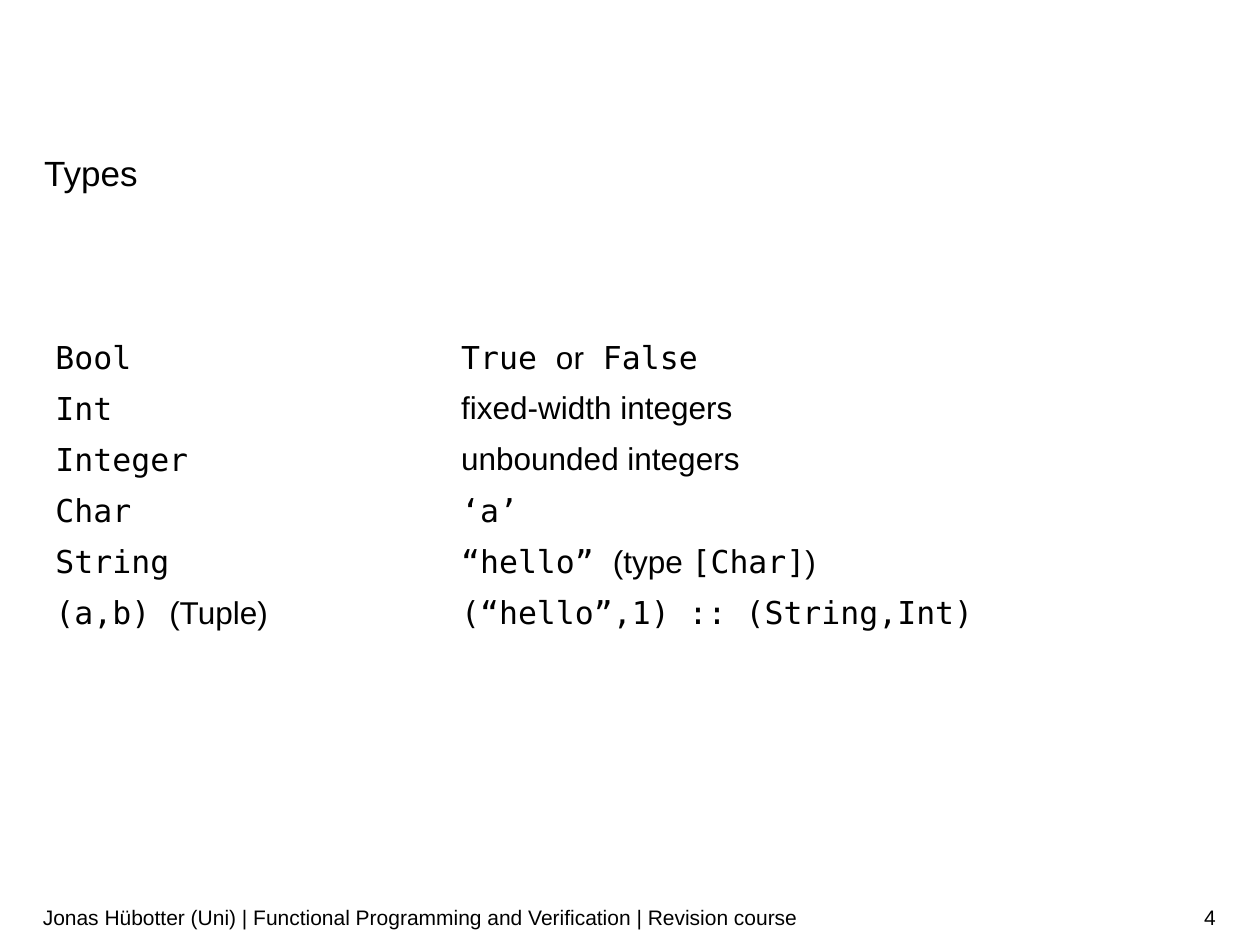
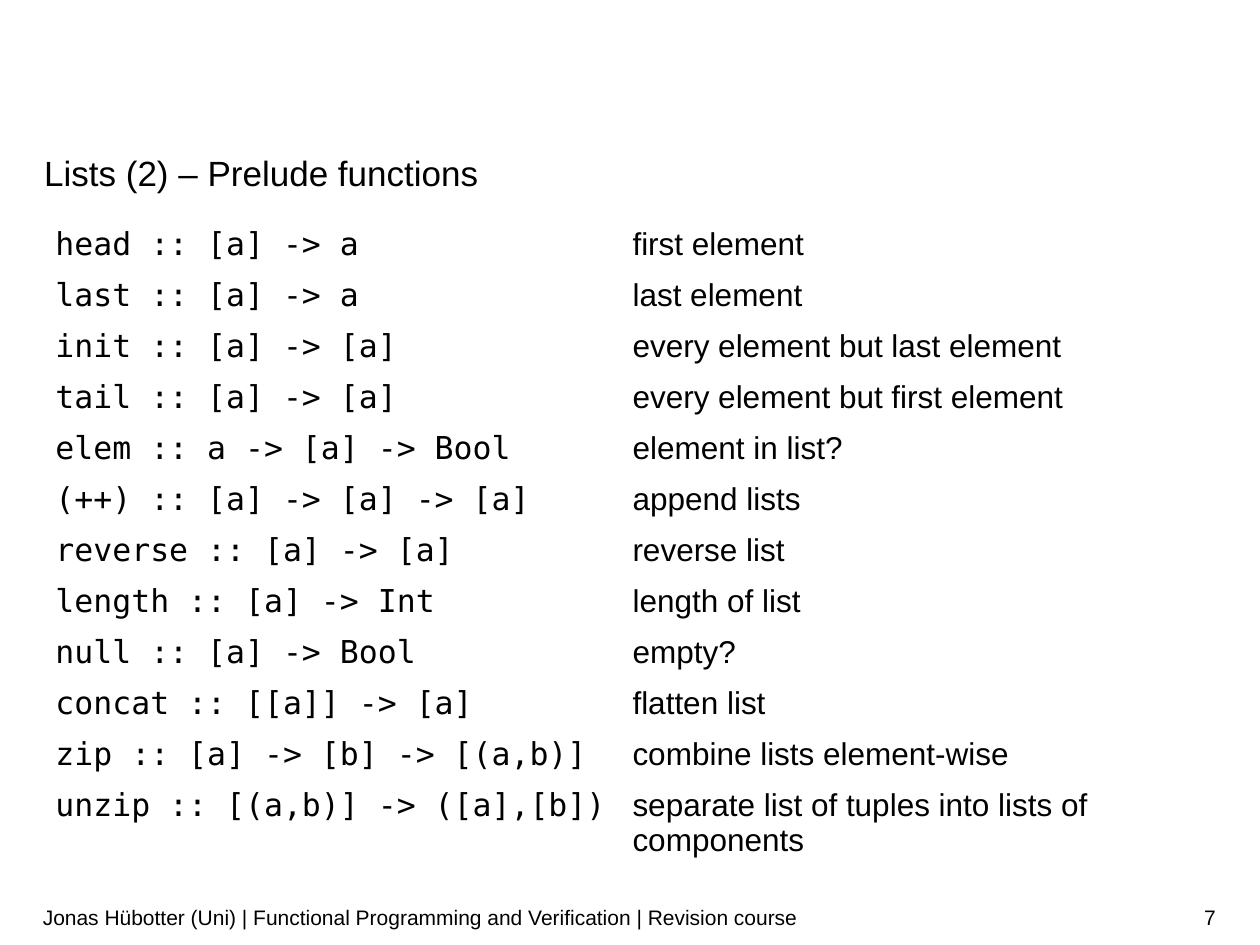
from pptx import Presentation
from pptx.dml.color import RGBColor
from pptx.enum.text import MSO_ANCHOR, MSO_AUTO_SIZE, PP_ALIGN
from pptx.util import Inches, Pt

PROSE, CODE = "Arial", "DejaVu Sans Mono"
INK, PAPER = "000000", "FFFFFF"
LEFT, CONTENT_WIDTH = 0.34, 9.31
ROW_HEIGHT = Inches(2.43) // 6
FOOTER = "Jonas Hübotter (Uni) | Functional Programming and Verification | Revision course"


def colour(value):
    return RGBColor.from_string(value)


def style(font, size, family):
    font.size = Pt(size)
    font.name = family
    font.color.rgb = colour(INK)


def add_line(slide, box, text, size, inset=0, align=PP_ALIGN.LEFT):
    frame = slide.shapes.add_textbox(*map(Inches, box)).text_frame
    frame.word_wrap = True
    frame.margin_left = frame.margin_right = 0
    frame.margin_top = frame.margin_bottom = Inches(inset)
    line = frame.paragraphs[0]
    line.text = text
    line.alignment = align
    style(line.font, size, PROSE)
    return frame


def add_footer(slide, box, number):
    left, top, width, height = box
    number_width = 2.24
    credit_width = width - number_width
    number_box = (left + credit_width, top, number_width, height)
    credit_box = (left, top, credit_width, height)
    for part, text, align in ((number_box, str(number), PP_ALIGN.RIGHT),
                              (credit_box, FOOTER, PP_ALIGN.LEFT)):
        frame = add_line(slide, part, text, 12, 0.05, align)
        frame.vertical_anchor = MSO_ANCHOR.MIDDLE


def add_title(slide, box, text):
    frame = add_line(slide, box, text, 20)
    frame.auto_size = MSO_AUTO_SIZE.SHAPE_TO_FIT_TEXT
    frame.paragraphs[0].line_spacing = Pt(32)


def fill_cell(cell, pieces):
    cell.fill.background()
    line = cell.text_frame.paragraphs[0]
    if len(pieces) == 1:
        text, family = pieces[0]
        line.text = text
        style(line.font, 18, family)
        return
    for text, family in pieces:
        run = line.add_run()
        run.text = text
        style(run.font, 18, family)


def add_definitions(slide, box, term_width, rows):
    left, top, width, height = box
    frame = slide.shapes.add_table(len(rows), 2, *map(Inches, box))
    table = frame.table
    table.first_row = table.horz_banding = False
    table.columns[0].width = Inches(term_width)
    table.columns[1].width = Inches(width - term_width)
    for table_row, cells in zip(table.rows, rows):
        table_row.height = ROW_HEIGHT
        for cell, pieces in zip(table_row.cells, cells):
            fill_cell(cell, pieces)
    frame.height = Inches(height)


def add_definition_slide(deck, number, title, top, height, term_width, rows):
    slide = deck.slides.add_slide(deck.slide_layouts[6])
    slide.background.fill.solid()
    slide.background.fill.fore_color.rgb = colour(PAPER)
    add_footer(slide, (LEFT, 7.08, CONTENT_WIDTH, 0.4), number)
    add_title(slide, (0.35, 1.09, CONTENT_WIDTH, 0.41), title)
    add_definitions(slide, (LEFT, top, CONTENT_WIDTH, height), term_width, rows)


TYPES = [
    ([("Bool", CODE)], [("True ", CODE), ("or", PROSE), (" False", CODE)]),
    ([("Int", CODE)], [("fixed-width integers", PROSE)]),
    ([("Integer", CODE)], [("unbounded integers", PROSE)]),
    ([("Char", CODE)], [("‘a’", CODE)]),
    ([("String", CODE)],
     [("“hello” ", CODE), ("(type ", PROSE), ("[Char]", CODE), (")", PROSE)]),
    ([("(a,b) ", CODE), ("(Tuple)", PROSE)],
     [("(“hello”,1) :: (String,Int)", CODE)]),
]

LIST_FUNCTIONS = [
    ("head :: [a] -> a", "first element"),
    ("last :: [a] -> a", "last element"),
    ("init :: [a] -> [a]", "every element but last element"),
    ("tail :: [a] -> [a]", "every element but first element"),
    ("elem :: a -> [a] -> Bool", "element in list?"),
    ("(++) :: [a] -> [a] -> [a]", "append lists"),
    ("reverse :: [a] -> [a]", "reverse list"),
    ("length :: [a] -> Int", "length of list"),
    ("null :: [a] -> Bool", "empty?"),
    ("concat :: [[a]] -> [a]", "flatten list"),
    ("zip :: [a] -> [b] -> [(a,b)]", "combine lists element-wise"),
    ("unzip :: [(a,b)] -> ([a],[b])", "separate list of tuples into lists of components"),
]

deck = Presentation()
deck.slide_width, deck.slide_height = Inches(10), Inches(7.5)
add_definition_slide(deck, 4, "Types", 2.65, 2.43, 3.22, TYPES)
add_definition_slide(deck, 7, "Lists (2) – Prelude functions", 1.75, 5.16, 4.58,
                     [([(signature, CODE)], [(meaning, PROSE)])
                      for signature, meaning in LIST_FUNCTIONS])
deck.save("out.pptx")
